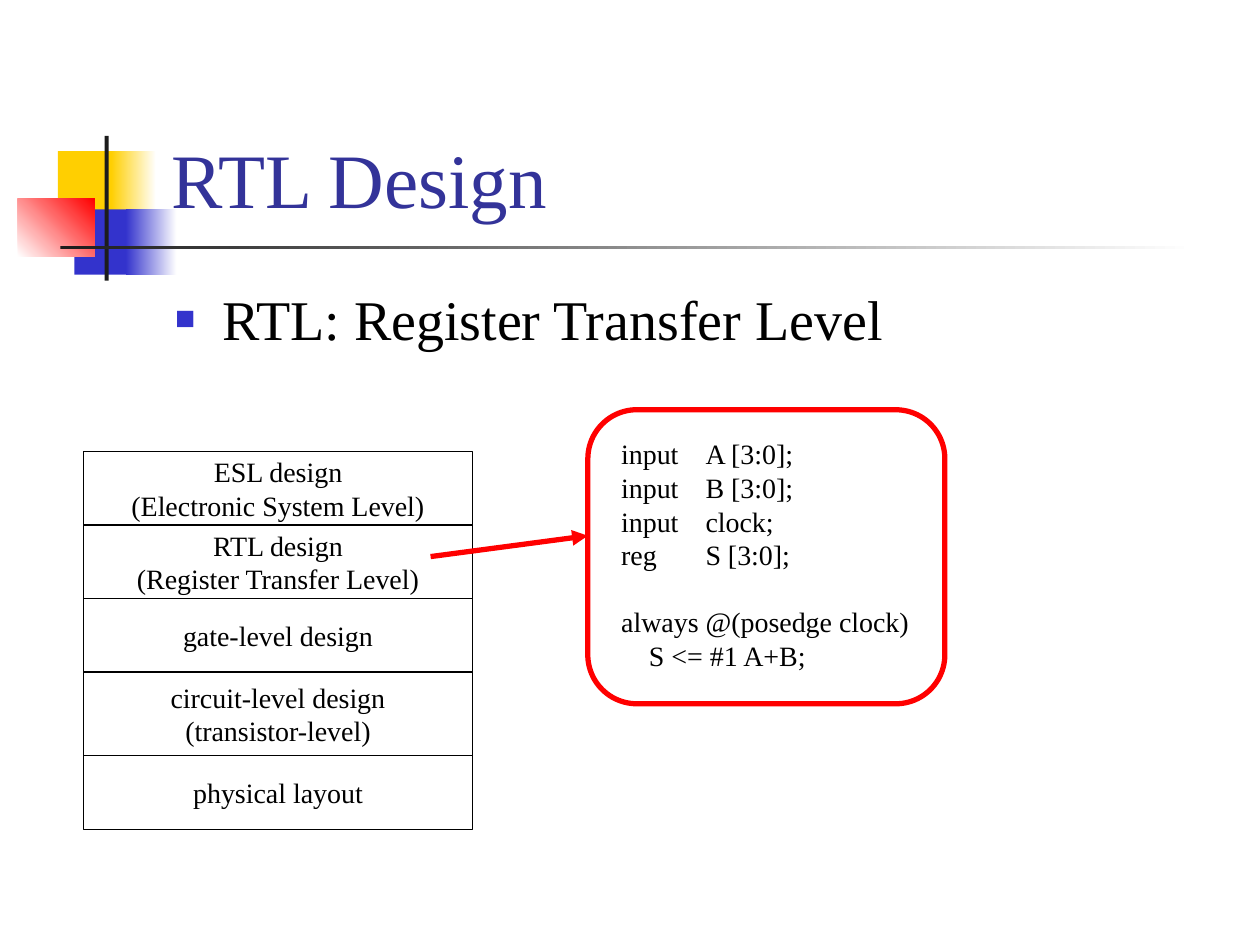
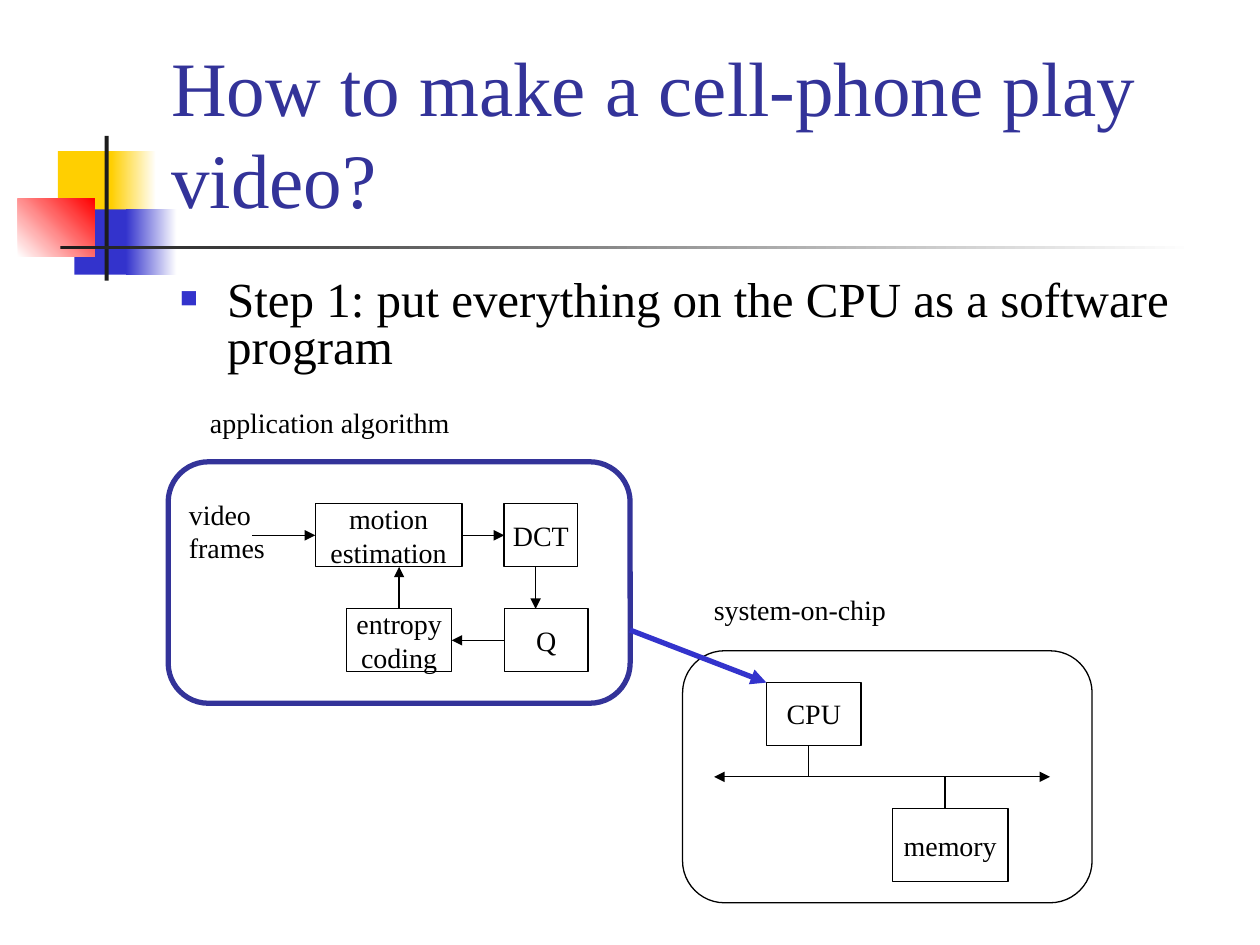
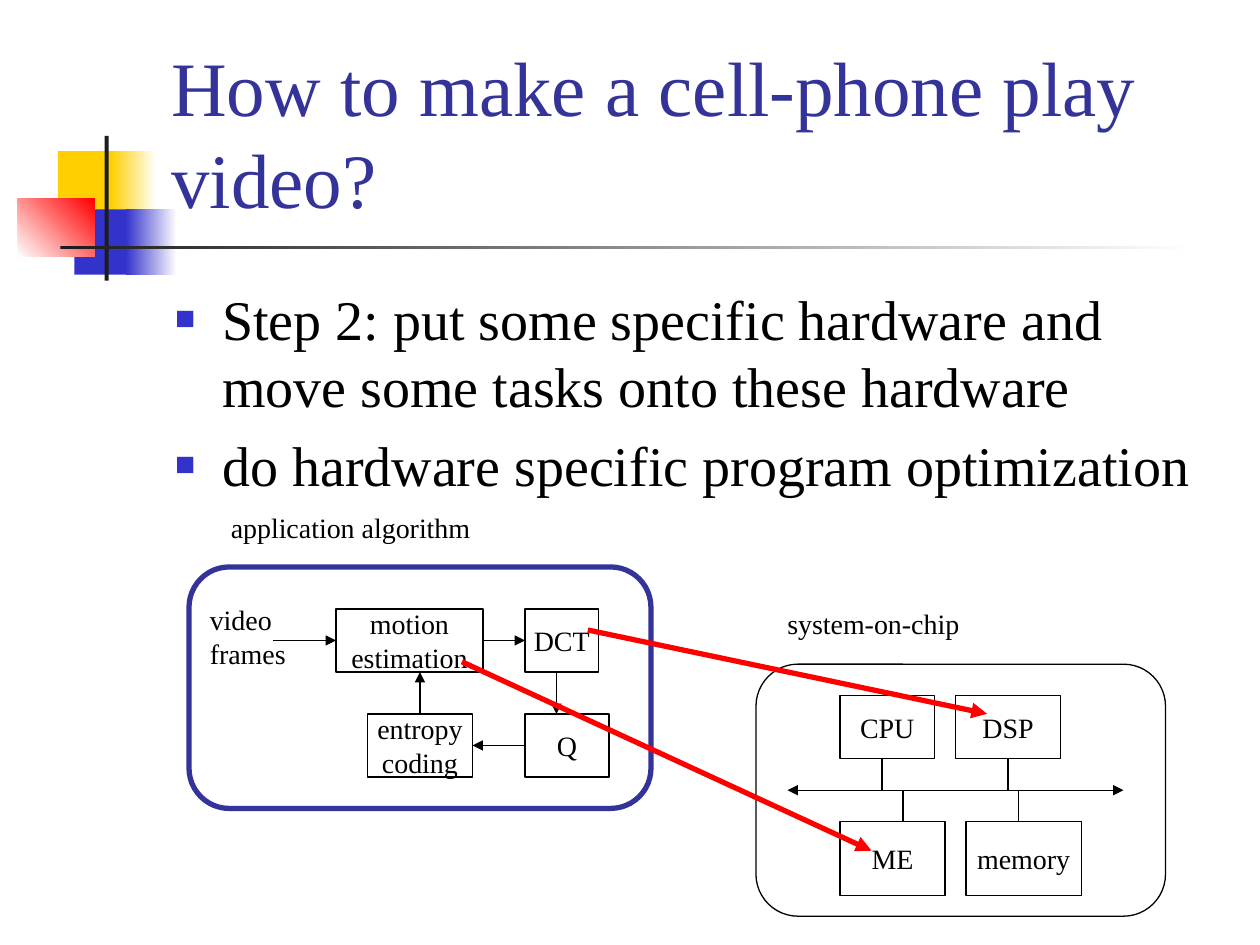
from lxml import etree
from pptx import Presentation
from pptx.dml.color import RGBColor
from pptx.enum.shapes import MSO_CONNECTOR, MSO_SHAPE
from pptx.enum.text import MSO_ANCHOR, MSO_AUTO_SIZE, PP_ALIGN
from pptx.oxml.ns import qn
from pptx.util import Cm, Pt

RECT, ROUND = MSO_SHAPE.RECTANGLE, MSO_SHAPE.ROUNDED_RECTANGLE
LINE = MSO_CONNECTOR.STRAIGHT
LEFT, CENTER = PP_ALIGN.LEFT, PP_ALIGN.CENTER
TOP, MIDDLE, BOTTOM = MSO_ANCHOR.TOP, MSO_ANCHOR.MIDDLE, MSO_ANCHOR.BOTTOM
FIXED, GROW = MSO_AUTO_SIZE.NONE, MSO_AUTO_SIZE.SHAPE_TO_FIT_TEXT

INK = {
    "black": "000000", "white": "FFFFFF", "gold": "FFCF01", "blue": "3333CC",
    "navy": "333399", "red": "FF0000", "dark": "1C1C1C",
}
FONT = "Times New Roman"
CELL = 2.54 / 12
THIN, THICK = 0.75, 3

TITLE_BOX = (3.2, 0.58, 21.64, 4.06)
BANDS = [
    ((1.17, 3.05, 1.22, 1.32), ["gold"], 0),
    ((2.24, 3.05, 0.91, 1.32), ["gold", "white"], 0),
    ((1.5, 4.22, 1.17, 1.32), ["blue"], 0),
    ((2.54, 4.22, 1.02, 1.32), ["blue", "white"], 0),
    ((0.36, 4.01, 1.55, 1.17), ["white", "red"], 45),
    ((2.11, 2.74, 0.08, 2.92), ["dark"], 0),
    ((1.22, 4.95, 22.86, 0.08), ["dark", "white"], 0),
]
LAYERS = [
    ("ESL design\n(Electronic System Level)", 7),
    ("RTL design\n(Register Transfer Level)", 7),
    ("gate-level design", 7),
    ("circuit-level design\n(transistor-level)", 8),
    ("physical layout", 7),
]
CODE = [
    "input\tA [3:0];", "input\tB [3:0];", "input\tclock;", "reg\tS [3:0];",
    "always @(posedge clock)", "S <= #1 A+B;",
]
STAGES = {
    "motion\nestimation": (14, 4, 14, 6),
    "DCT": (32, 4, 7, 6),
    "Q": (32, 14, 8, 6),
    "entropy\ncoding": (17, 14, 10, 6),
}
UNITS = {
    "CPU": ((8, 3, 9, 6), 12),
    "DSP": ((19, 3, 10, 6), 24),
    "ME": ((8, 15, 10, 7), 14),
    "memory": ((20, 15, 11, 7), 25),
}
BUS = 12


def rgb(name):
    return RGBColor.from_string(INK[name])


def style(thing, looks):
    for key, value in looks.items():
        setattr(thing, key, value)


def add(node, tag, **looks):
    return etree.SubElement(node, qn("a:" + tag), looks)


def place(box):
    return [Cm(n) for n in box]


def grid(org, col, row, *size):
    return (org[0] + col * CELL, org[1] + row * CELL, *(n * CELL for n in size))


def write(frame, text, size=16, ink="black", frame_looks=None, para_looks=None):
    style(frame, frame_looks or {})
    frame.text = text
    for para in frame.paragraphs:
        style(para, para_looks or {})
        for run in para.runs:
            style(run.font, {"name": FONT, "size": Pt(size)})
            run.font.color.rgb = rgb(ink)


def draw(slide, kind, box, text="", ink="black", width=THIN):
    shape = slide.shapes.add_shape(kind, *place(box))
    shape.shadow.inherit = False
    shape.fill.background()
    shape.line.color.rgb = rgb(ink)
    shape.line.width = Pt(width)
    if text:
        write(shape.text_frame, text,
              frame_looks={"word_wrap": False, "vertical_anchor": MIDDLE},
              para_looks={"alignment": CENTER})
    return shape


def label(slide, box, text):
    frame = slide.shapes.add_textbox(*place(box)).text_frame
    write(frame, text, frame_looks={"word_wrap": False, "auto_size": GROW})
    return frame


def link(slide, start, end, ink="black", width=THIN, ends=("tailEnd",),
         begin=None, finish=None):
    line = slide.shapes.add_connector(LINE, *place(start), *place(end))
    if begin:
        line.begin_connect(*begin)
    if finish:
        line.end_connect(*finish)
    line.line.color.rgb = rgb(ink)
    line.line.width = Pt(width)
    for tag in ends:
        add(line.get_or_add_ln(), tag, type="triangle")
    add(line.element.spPr, "effectLst")


def deck_art(slide, layout):
    for i, (box, inks, angle) in enumerate(BANDS):
        band = slide.shapes.add_shape(RECT, *place(box))
        band.shadow.inherit = False
        band.line.fill.background()
        if len(inks) == 1:
            band.fill.solid()
            band.fill.fore_color.rgb = rgb(inks[0])
        else:
            band.fill.gradient()
            band.fill.gradient_angle = angle
            for stop, ink, pos in zip(band.fill.gradient_stops, inks, (0, 1)):
                stop.color.rgb = rgb(ink)
                stop.position = pos
        band.element.nvSpPr.cNvPr.id = 20 + i
        layout.shapes.element.insert(2 + i, band.element)


def head(slide, text):
    title = slide.shapes.title
    style(title, dict(zip(("left", "top", "width", "height"), place(TITLE_BOX))))
    write(title.text_frame, text, 44, "navy",
          {"word_wrap": True, "auto_size": FIXED, "vertical_anchor": BOTTOM},
          {"alignment": LEFT})


def points(slide, box, text, size=32, pitch=None):
    frame = slide.shapes.add_textbox(*place(box)).text_frame
    write(frame, text, size,
          frame_looks={"word_wrap": True, "vertical_anchor": TOP},
          para_looks={"space_before": Pt(size * 0.2), "line_spacing": pitch})
    for para in frame.paragraphs:
        props = para._p.get_or_add_pPr()
        props.set("marL", str(Cm(0.95)))
        props.set("indent", str(Cm(-0.95)))
        add(add(props, "buClr"), "srgbClr", val=INK["blue"])
        add(props, "buSzPct", val="60000")
        add(props, "buFont", typeface=FONT)
        add(props, "buChar", char="■")


def stack(slide, org):
    row = 0
    for text, high in LAYERS:
        draw(slide, RECT, grid(org, 0, row, 37, high), text)
        row += high


def listing(slide, org):
    frame = label(slide, grid(org, 2, 2, 30, 27), "\n".join(CODE))
    for para in frame.paragraphs[:4]:
        tabs = add(para._p.get_or_add_pPr(), "tabLst")
        add(tabs, "tab", pos=str(Cm(1.7)), algn="l")
    always, body = frame.paragraphs[4:]
    always.space_before = Pt(19)
    body._p.get_or_add_pPr().set("marL", str(Cm(0.56)))
    draw(slide, ROUND, grid(org, 0, 0, 34, 28), ink="red", width=THICK)


def flow(slide, org):
    motion, dct, quant, code = [
        draw(slide, RECT, grid(org, *box), text) for text, box in STAGES.items()]

    def step(start, end, **joins):
        link(slide, grid(org, *start), grid(org, *end), **joins)

    step((8, 7), (14, 7), finish=(motion, 1))
    step((28, 7), (32, 7), begin=(motion, 3), finish=(dct, 1))
    step((35, 10), (35, 14))
    step((32, 17), (27, 17), begin=(quant, 1), finish=(code, 3))
    step((22, 14), (22, 10), begin=(code, 0))
    label(slide, grid(org, 0.8, 2.8, 9.7, 7.7), "video\nframes")
    label(slide, grid(org, 2.8, -6, 25.4, 4.4), "application algorithm")
    draw(slide, ROUND, grid(org, 0, 0, 44, 23), ink="navy", width=THICK)


def chip(slide, org, names):
    for name in names:
        box, col = UNITS[name]
        _, row, _, high = box
        above = row < BUS
        unit = draw(slide, RECT, grid(org, *box), name)
        middle = col == box[0] + box[2] / 2
        link(slide, grid(org, col, row + high if above else row),
             grid(org, col, BUS), ends=(),
             begin=(unit, 2 if above else 0) if middle else None)
    link(slide, grid(org, 3, BUS), grid(org, 35, BUS), ends=("headEnd", "tailEnd"))
    draw(slide, ROUND, grid(org, 0, 0, 39, 24))
    label(slide, grid(org, 1.8, -6.1, 19, 4.4), "system-on-chip")


def rtl_slide(slide):
    head(slide, "RTL Design")
    points(slide, (3.28, 5.61, 21.59, 1.8), "RTL: Register Transfer Level")
    stack(slide, (1.69, 9.1))
    listing(slide, (11.85, 8.26))
    link(slide, (8.68, 11.22), (11.85, 10.8), "red", THICK)


def video_slide(slide, box, text, flow_org, chip_org, names, arrows, ink, **looks):
    head(slide, "How to make a cell-phone play video?")
    points(slide, box, text, **looks)
    flow(slide, flow_org)
    chip(slide, chip_org, names)
    for start, end in arrows:
        link(slide, start, end, ink, THICK)


def main():
    deck = Presentation()
    style(deck, {"slide_width": Cm(25.4), "slide_height": Cm(19.05)})
    layout = deck.slide_layouts[5]
    rtl, first, second = [deck.slides.add_slide(layout) for _ in range(3)]
    deck_art(rtl, layout)
    rtl_slide(rtl)
    video_slide(
        first, (3.38, 5.51, 21.59, 2.34),
        "Step 1: put everything on the CPU as a software program",
        (3.39, 9.31), (13.76, 13.12), ["CPU", "memory"],
        [((12.7, 12.7), (15.45, 13.76))], "blue", size=28, pitch=0.8)
    video_slide(
        second, (3.28, 5.61, 21.59, 11.43),
        "Step 2: put some specific hardware and move some tasks onto these hardware\n"
        "do hardware specific program optimization",
        (3.81, 11.43), (15.24, 13.39), list(UNITS),
        [((11.85, 12.7), (19.9, 14.39)), ((9.31, 13.34), (17.57, 17.15))], "red")
    deck.save("out.pptx")


if __name__ == "__main__":
    main()
